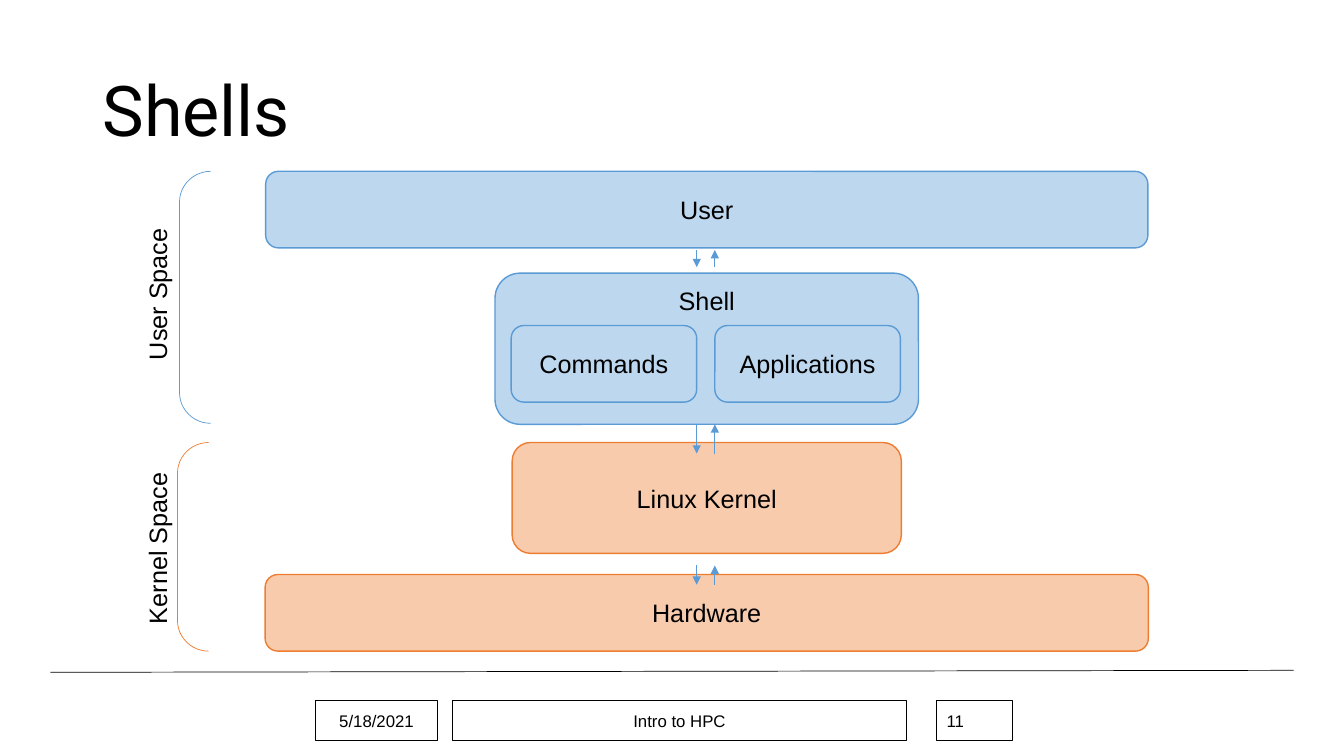
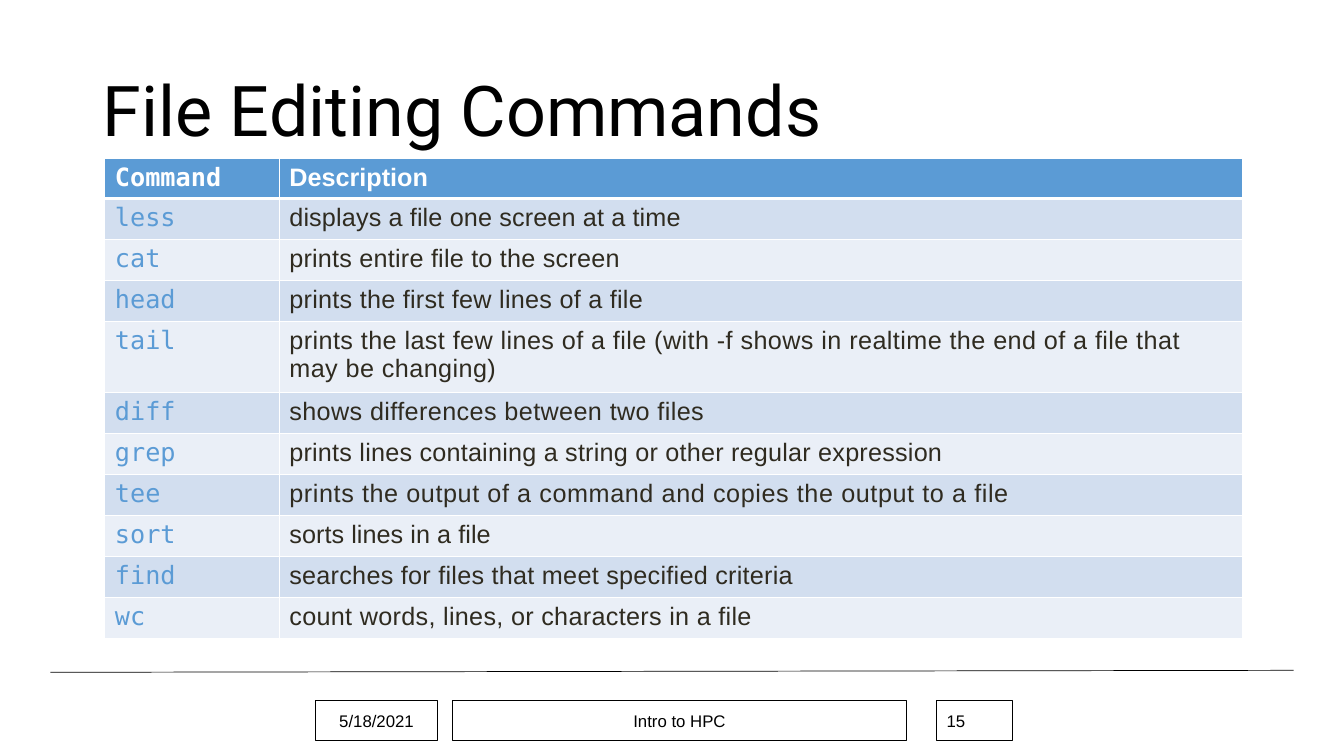
from lxml import etree
from pptx import Presentation
from pptx.dml.color import RGBColor
from pptx.enum.shapes import MSO_CONNECTOR, MSO_SHAPE
from pptx.enum.text import MSO_ANCHOR, PP_ALIGN
from pptx.oxml.ns import qn
from pptx.util import Inches, Pt

RECT, ROUND = MSO_SHAPE.RECTANGLE, MSO_SHAPE.ROUNDED_RECTANGLE
BRACE = MSO_SHAPE.LEFT_BRACKET
MID, TOP = MSO_ANCHOR.MIDDLE, MSO_ANCHOR.TOP
LEFT, CENTER = PP_ALIGN.LEFT, PP_ALIGN.CENTER
STRAIGHT = MSO_CONNECTOR.STRAIGHT


class Theme:
    black, white = RGBColor(0, 0, 0), RGBColor(255, 255, 255)
    blue, sky = RGBColor(0x5B, 0x9B, 0xD5), RGBColor(0xBD, 0xD7, 0xEE)
    rust, peach = RGBColor(0xED, 0x7D, 0x31), RGBColor(0xF8, 0xCB, 0xAD)
    ink = RGBColor(0x2F, 0x2B, 0x20)
    bands = RGBColor(0xD2, 0xDE, 0xEF), RGBColor(0xEA, 0xEF, 0xF7)
    head, sans, mono = "Roboto", "Arial", "DejaVu Sans Mono"
    title, body, foot = Pt(50), Pt(18), Pt(12)


deck = Presentation()
deck.slide_width, deck.slide_height = Inches(13.33), Inches(7.5)
UNIT = deck.slide_height / 75  # pitch of the grid: 75 rows a slide


def put(slide, kind, at, text="", fill=None, edge=None, width=1,
        size=Theme.body, face=Theme.sans, align=CENTER, anchor=MID):
    """Place a shape, or a text box if kind is None, on the grid."""
    at = [round(n * UNIT) for n in at]
    if kind is None:
        item = slide.shapes.add_textbox(*at)
    else:
        item = slide.shapes.add_shape(kind, *at)
        item.shadow.inherit = False
        item.line.color.rgb, item.line.width = edge, Pt(width)
        if fill is None:
            item.fill.background()
        else:
            item.fill.solid()
            item.fill.fore_color.rgb = fill
    frame = item.text_frame
    frame.word_wrap, frame.vertical_anchor = True, anchor
    frame.text = text
    para = frame.paragraphs[0]
    para.alignment = align
    para.font.size, para.font.name = size, face
    para.font.color.rgb = Theme.black
    return item


def draw(slide, ends, color, arrow=False):
    """Draw a thin line between two grid points."""
    line = slide.shapes.add_connector(STRAIGHT, *[round(n * UNIT) for n in ends])
    line.line.color.rgb, line.line.width = color, Pt(0.5)
    props = line._element.spPr
    if arrow:
        etree.SubElement(props.find(qn("a:ln")), qn("a:tailEnd"), type="triangle")
    etree.SubElement(props, qn("a:effectLst"))


# Shared frame: rule, title, footer
slides = []
for title, page in (("Shells", "11"), ("File Editing Commands", "15")):
    slide = deck.slides.add_slide(deck.slide_layouts[6])
    slides.append(slide)
    draw(slide, (5, 66.7, 128.3, 66.5), Theme.black)
    name = put(slide, None, (9.2, 4, 115, 14.5), title, size=Theme.title,
               face=Theme.head, align=LEFT)
    name.text_frame.paragraphs[0].line_spacing = 0.9
    for left, wide, text, align in ((31.3, 12.1, "5/18/2021", CENTER),
                                    (44.9, 45, "Intro to HPC", CENTER),
                                    (92.9, 7.5, page, LEFT)):
        put(slide, RECT, (left, 69.5, wide, 4), text, edge=Theme.black,
            width=0.75, size=Theme.foot, align=align)
shells, edits = slides

# Layers, each centred on one axis
AXIS = 70.1
COOL, WARM = (Theme.sky, Theme.blue), (Theme.peach, Theme.rust)
for text, top, wide, high, tone, anchor in (
        ("User", 17, 87.5, 7.6, COOL, MID),
        ("Shell", 27.1, 42, 15, COOL, TOP),
        ("Linux Kernel", 43.9, 38.6, 11, WARM, MID),
        ("Hardware", 57, 87.6, 7.6, WARM, MID)):
    put(shells, ROUND, (AXIS - wide / 2, top, wide, high), text, *tone,
        anchor=anchor)
for i, text in enumerate(("Commands", "Applications")):
    put(shells, ROUND, (50.7 + 20.2 * i, 32.3, 18.4, 7.6), text, *COOL)

# Brackets and their upright labels
for text, left, top, high, mid, wide, edge in (
        ("User Space", 17.8, 17, 25, 28.7, 16, Theme.blue),
        ("Kernel Space", 17.6, 43.9, 20.7, 54.2, 17.4, Theme.rust)):
    brace = put(shells, BRACE, (left, top, 3.1, high), edge=edge, width=0.5)
    brace.adjustments[0] = 0.99
    label = put(shells, None, (15.6 - wide / 2, mid - 2, wide, 4), text,
                align=LEFT, anchor=TOP)
    label.text_frame.word_wrap = False
    label.rotation = 270

# Pairs of arrows between the layers
for top, end in ((24.8, 26.5), (42.1, 45), (56.1, 58)):
    draw(shells, (69.1, top, 69.1, end), Theme.blue, True)
    draw(shells, (70.9, end, 70.9, top), Theme.blue, True)

# Command table: command, description, letter spacing in 1/100 pt
ROWS = (
    ("Command", "Description", 0),
    ("less", "displays a file one screen at a time", 11),
    ("cat", "prints entire file to the screen", 18),
    ("head", "prints the first few lines of a file", 20),
    ("tail", "prints the last few lines of a file (with -f shows in realtime "
             "the end of a file that may be changing)", 30),
    ("diff", "shows differences between two files", 27),
    ("grep", "prints lines containing a string or other regular expression", 17),
    ("tee", "prints the output of a command and copies the output to a file", 42),
    ("sort", "sorts lines in a file", 7),
    ("find", "searches for files that meet specified criteria", 20),
    ("wc", "count words, lines, or characters in a file", 22),
)
HIGH = {"Command": 3.8, "tail": 6.55}
spot = [round(n * UNIT) for n in (10.4, 15.7, 112.8, 47.5)]
table = edits.shapes.add_table(len(ROWS), 2, *spot).table
for col, wide in zip(table.columns, (17.3, 95.5)):
    col.width = round(wide * UNIT)
for r, (word, note, gap) in enumerate(ROWS):
    table.rows[r].height = round(HIGH.get(word, 4.07) * UNIT)
    for c, text in enumerate((word, note)):
        cell = table.cell(r, c)
        props = cell._tc.get_or_add_tcPr()
        for side in "LRTB":
            thick = (side == "B" and r == 0) or (side == "T" and r == 1)
            edge = etree.SubElement(props, qn("a:ln" + side),
                                    w=str(Pt(3 if thick else 1)))
            paint = etree.SubElement(edge, qn("a:solidFill"))
            etree.SubElement(paint, qn("a:srgbClr"), val=str(Theme.white))
        cell.fill.solid()
        cell.fill.fore_color.rgb = Theme.bands[(r - 1) % 2] if r else Theme.blue
        cell.text_frame.text = text
        run = cell.text_frame.paragraphs[0].runs[0]
        font = run.font
        font.size, font.bold = Theme.body, r == 0
        font.name = (Theme.mono, Theme.sans)[c]
        font.color.rgb = (Theme.blue, Theme.ink)[c] if r else Theme.white
        if c:
            run._r.get_or_add_rPr().set("spc", str(gap))

deck.save("out.pptx")
